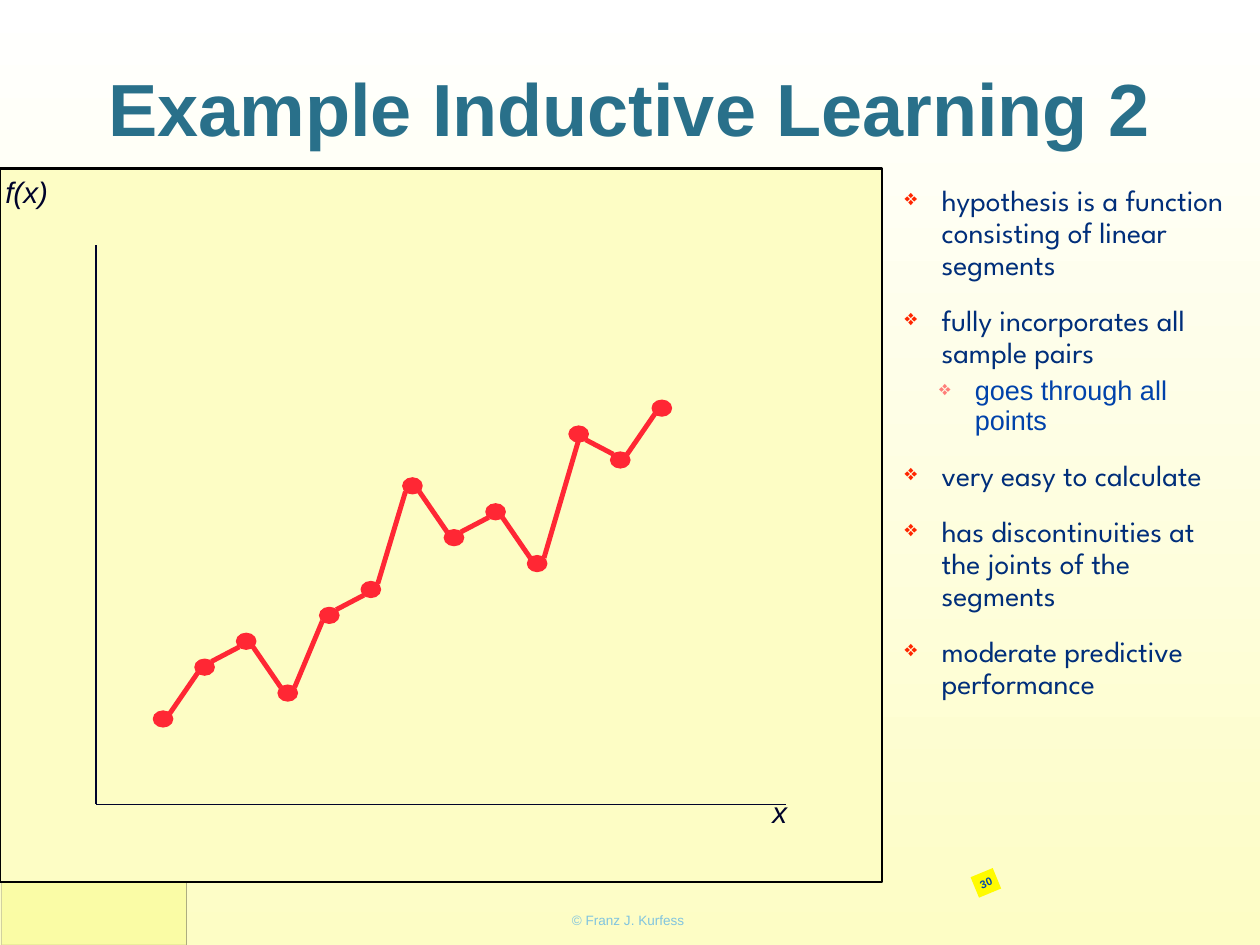
from dataclasses import dataclass
from itertools import pairwise

from lxml import etree
from pptx import Presentation
from pptx.dml.color import RGBColor
from pptx.enum.shapes import MSO_CONNECTOR, MSO_SHAPE
from pptx.enum.text import MSO_ANCHOR, PP_ALIGN
from pptx.oxml.ns import qn
from pptx.util import Pt

RECT, OVAL = MSO_SHAPE.RECTANGLE, MSO_SHAPE.OVAL
STRAIGHT = MSO_CONNECTOR.STRAIGHT
LEFT, CENTER = PP_ALIGN.LEFT, PP_ALIGN.CENTER
TOP, MIDDLE = MSO_ANCHOR.TOP, MSO_ANCHOR.MIDDLE


@dataclass(frozen=True)
class Theme:
    font: str = "Arial"
    body_font: str = "League Spartan"
    cream: str = "FDFDC5"
    white: str = "FFFFFF"
    black: str = "000000"
    corner: str = "F8FC84"
    badge: str = "FFFB00"
    badge_text: str = "0048AA"
    title: str = "29708A"
    footer: str = "80C4DF"
    ink: str = "00032B"
    series: str = "FF2734"
    body: str = "002E7A"
    sub: str = "0042AA"
    bullet: str = "FF2600"
    sub_bullet: str = "FF7E79"
    title_size: int = 60
    body_size: int = 24
    sub_size: int = 22
    footer_size: int = 11
    badge_size: int = 9


T = Theme()
INSET = 4.3
LEVELS = [0, 2, 3, 1, 4, 5, 9, 7, 8, 6, 11, 10, 12]
FIRST_X, FIRST_Y = 132.5, 584.3
STEP_X, STEP_Y = 33.78, 21.05
DOT_W, DOT_H = 15.8, 13
JOINT_X, JOINT_Y = 5.6, 4.6
STEEP_RISE = 5

BULLETS = [
    (0, "hypothesis is a function consisting of linear segments"),
    (0, "fully incorporates all sample pairs"),
    (1, "goes through all points"),
    (0, "very easy to calculate"),
    (0, "has discontinuities at the joints of the segments"),
    (0, "moderate predictive performance"),
]


def rgb(color):
    return RGBColor.from_string(color)


def add_background(s):
    fill = s.background.fill
    fill.gradient()
    fill.gradient_angle = 90
    for stop, color in zip(fill.gradient_stops, (T.cream, T.white)):
        stop.color.rgb = rgb(color)


def add_box(s, kind, x, y, w, h, fill, line=None, width=1, alpha=None):
    sp = s.shapes.add_shape(kind, Pt(x), Pt(y), Pt(w), Pt(h))
    sp.shadow.inherit = False
    sp.fill.solid()
    sp.fill.fore_color.rgb = rgb(fill)
    if line:
        sp.line.color.rgb = rgb(line)
        sp.line.width = Pt(width)
    else:
        sp.line.fill.background()
    if alpha is not None:
        for clr in sp._element.spPr.iter(qn("a:srgbClr")):
            etree.SubElement(clr, qn("a:alpha"), val=str(alpha * 1000))
    return sp


def add_line(s, x1, y1, x2, y2, color, width):
    ln = s.shapes.add_connector(STRAIGHT, Pt(x1), Pt(y1), Pt(x2), Pt(y2))
    ln.line.color.rgb = rgb(color)
    ln.line.width = Pt(width)
    etree.SubElement(ln._element.spPr, qn("a:effectLst"))


def set_frame(tf, anchor=TOP, wrap=True):
    tf.word_wrap = wrap
    tf.vertical_anchor = anchor
    tf.margin_left = tf.margin_right = Pt(INSET)
    tf.margin_top = tf.margin_bottom = Pt(INSET)


def add_run(p, text, size, color, font=T.font, bold=False, italic=False):
    r = p.add_run()
    r.text = text
    r.font.size = Pt(size)
    r.font.name = font
    r.font.color.rgb = rgb(color)
    r.font.bold = bold
    r.font.italic = italic


def write(tf, text, align=LEFT, anchor=TOP, wrap=True, **style):
    set_frame(tf, anchor, wrap)
    p = tf.paragraphs[0]
    p.alignment = align
    add_run(p, text, **style)


def add_text(s, text, x, y, w, h, **style):
    tb = s.shapes.add_textbox(Pt(x), Pt(y), Pt(w), Pt(h))
    write(tb.text_frame, text, **style)


def set_bullet(p, color, margin, hanging):
    pPr = p._p.get_or_add_pPr()
    pPr.set("marL", str(Pt(margin)))
    pPr.set("indent", str(-Pt(hanging)))
    clr = etree.SubElement(pPr, qn("a:buClr"))
    etree.SubElement(clr, qn("a:srgbClr"), val=color)
    etree.SubElement(pPr, qn("a:buSzPct"), val="75000")
    etree.SubElement(pPr, qn("a:buChar"), char="❖")


def add_bullets(s, items, x, y, w, h):
    tf = s.shapes.add_textbox(Pt(x), Pt(y), Pt(w), Pt(h)).text_frame
    set_frame(tf)
    for i, (level, text) in enumerate(items):
        p = tf.add_paragraph() if i else tf.paragraphs[0]
        p.level = level
        p.line_spacing = 0.9
        if i:
            p.space_before = Pt(6 if level else 20)
        if level:
            set_bullet(p, T.sub_bullet, 57, 29)
            add_run(p, text, T.sub_size, T.sub)
        else:
            set_bullet(p, T.bullet, 30, 30)
            add_run(p, text, T.body_size, T.body, T.body_font)


def add_plot(s):
    add_box(s, RECT, 0, 137, 717, 580, T.cream, T.black, 2)
    add_line(s, 78, 199.5, 78, 653.5, T.ink, 1)
    add_line(s, 78, 653.5, 638.5, 653.5, T.ink, 1)
    label = dict(size=T.body_size, color=T.ink, italic=True, wrap=False)
    add_text(s, "x", 623.5, 641, 21.5, 36, **label)
    add_text(s, "f(x)", 0, 137, 44, 36, **label)

    samples = [(FIRST_X + i * STEP_X, FIRST_Y - level * STEP_Y, level)
               for i, level in enumerate(LEVELS)]
    for x, y, _ in samples:
        add_box(s, OVAL, x - DOT_W / 2, y - DOT_H / 2, DOT_W, DOT_H,
                T.series, T.series)
    for (x1, y1, a), (x2, y2, b) in pairwise(samples):
        dy = JOINT_Y if b > a else -JOINT_Y
        end_dx = 0 if b - a >= STEEP_RISE else JOINT_X
        add_line(s, x1 + JOINT_X, y1 - dy, x2 - end_dx, y2 + dy, T.series, 4)


def add_page_badge(s, number):
    sp = add_box(s, RECT, 791.5, 708.5, 19.5, 18, T.badge)
    sp.rotation = 337.5
    write(sp.text_frame, number, align=CENTER, anchor=MIDDLE, wrap=False,
          size=T.badge_size, color=T.badge_text, bold=True)


def main():
    prs = Presentation()
    prs.slide_width, prs.slide_height = Pt(1024), Pt(768)
    s = prs.slides.add_slide(prs.slide_layouts[6])
    add_background(s)
    add_box(s, RECT, 1.5, 713, 150, 55, T.corner, T.black, 0.25, alpha=48)
    add_text(s, "© Franz J. Kurfess", 343.5, 734, 334, 27, align=CENTER,
             anchor=MIDDLE, size=T.footer_size, color=T.footer)
    add_text(s, "Example Inductive Learning 2", 61, 0, 901, 173.5,
             align=CENTER, anchor=MIDDLE, size=T.title_size, color=T.title,
             bold=True)
    add_plot(s)
    add_bullets(s, BULLETS, 731, 147, 271.5, 556.5)
    add_page_badge(s, "30")
    prs.save("out.pptx")


if __name__ == "__main__":
    main()
